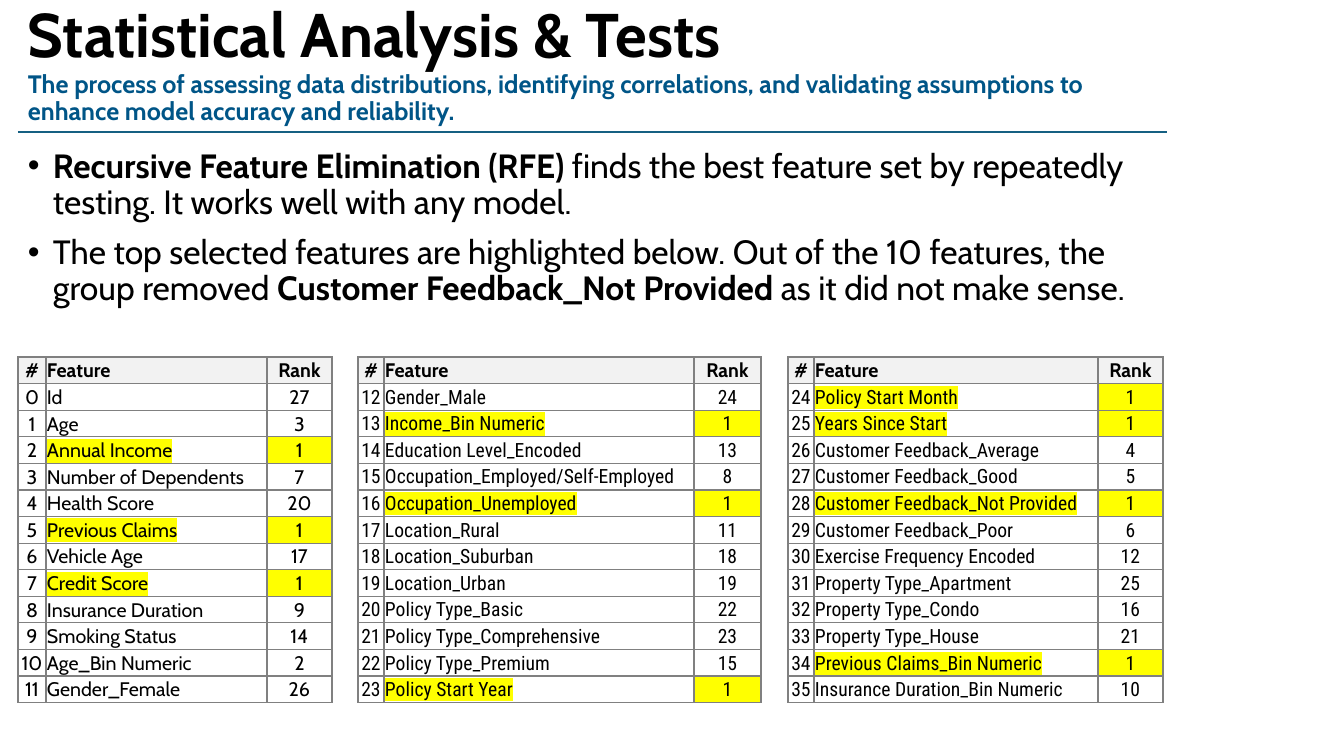
"""Build the slide on statistical tests with three tables of feature ranks."""
from dataclasses import dataclass
from itertools import count

from lxml.etree import SubElement
from pptx import Presentation
from pptx.dml.color import RGBColor
from pptx.enum.shapes import MSO_CONNECTOR
from pptx.enum.text import MSO_ANCHOR, PP_ALIGN
from pptx.oxml.ns import qn
from pptx.util import Pt

TITLE = "Statistical Analysis & Tests"
LEAD = ("The process of assessing data distributions, identifying correlations, "
        "and validating assumptions to enhance model accuracy and reliability.")
POINTS = [
    [("Recursive Feature Elimination (RFE) ", True),
     ("finds the best feature set by repeatedly testing. It works well with any model.", False)],
    [("The top selected features are highlighted below. Out of the 10 features, "
      "the group removed ", False),
     ("Customer Feedback_Not Provided ", True),
     ("as it did not make sense.", False)],
]
HEAD = ("#", "Feature", "Rank")
RANKS = [
    [("Id", 27), ("Age", 3), ("Annual Income", 1), ("Number of Dependents", 7),
     ("Health Score", 20), ("Previous Claims", 1), ("Vehicle Age", 17),
     ("Credit Score", 1), ("Insurance Duration", 9), ("Smoking Status", 14),
     ("Age_Bin Numeric", 2), ("Gender_Female", 26)],
    [("Gender_Male", 24), ("Income_Bin Numeric", 1), ("Education Level_Encoded", 13),
     ("Occupation_Employed/Self-Employed", 8), ("Occupation_Unemployed", 1),
     ("Location_Rural", 11), ("Location_Suburban", 18), ("Location_Urban", 19),
     ("Policy Type_Basic", 22), ("Policy Type_Comprehensive", 23),
     ("Policy Type_Premium", 15), ("Policy Start Year", 1)],
    [("Policy Start Month", 1), ("Years Since Start", 1), ("Customer Feedback_Average", 4),
     ("Customer Feedback_Good", 5), ("Customer Feedback_Not Provided", 1),
     ("Customer Feedback_Poor", 6), ("Exercise Frequency Encoded", 12),
     ("Property Type_Apartment", 25), ("Property Type_Condo", 16),
     ("Property Type_House", 21), ("Previous Claims_Bin Numeric", 1),
     ("Insurance Duration_Bin Numeric", 10)],
]


@dataclass(frozen=True)
class Theme:
    main: str = "Cabin"
    slim: str = "Roboto Condensed"
    ink: str = "000000"
    lead: str = "005587"
    rule: str = "156082"
    grid: str = "808080"
    head: str = "F2F2F2"
    mark: str = "FFFF00"
    title_size: int = 44
    lead_size: int = 18
    body_size: int = 24
    cell_size: int = 14


LOOK = Theme()
LEFT, TOP, HIGH = 18, 357, 346
GRIDS = [(LEFT, (28, 221, 65), LOOK.main),
         (358, (26, 310, 67), LOOK.slim),
         (788, (26, 284, 65), LOOK.slim)]


def px(size):
    return round(size * 914400 / 100.8)


def style(par, size, tint=LOOK.ink, face=LOOK.main, bold=None):
    font = par.font
    font.size, font.name, font.bold = Pt(size), face, bold
    font.color.rgb = RGBColor.from_string(tint)


def add_box(slide, top, wide, high, anchor=MSO_ANCHOR.TOP):
    frame = slide.shapes.add_textbox(px(LEFT), px(top), px(wide), px(high)).text_frame
    frame.word_wrap = True
    frame.vertical_anchor = anchor
    return frame


def add_line(slide):
    line = slide.shapes.add_connector(
        MSO_CONNECTOR.STRAIGHT, px(LEFT), px(132), px(1167), px(132))
    line.line.color.rgb = RGBColor.from_string(LOOK.rule)
    line.line.width = Pt(1.5)
    SubElement(line._element.spPr, qn("a:effectLst"))


def add_points(slide):
    frame = add_box(slide, 144, 1145, 213)
    for num, parts in enumerate(POINTS):
        par = frame.add_paragraph() if num else frame.paragraphs[0]
        props = par._p.get_or_add_pPr()
        props.set("marL", str(px(25)))
        props.set("indent", str(-px(25)))
        SubElement(props, qn("a:buFont"), typeface="Arial")
        SubElement(props, qn("a:buChar"), char="•")
        par.line_spacing = 0.9
        if num:
            par.space_before = Pt(10)
        style(par, LOOK.body_size)
        for text, bold in parts:
            run = par.add_run()
            run.text, run.font.bold = text, bold


def add_color(parent, tag, tint):
    SubElement(SubElement(parent, qn(tag)), qn("a:srgbClr"), val=tint)


def fill_cell(cell, text, face, bold, center, fill, mark):
    cell.margin_left = cell.margin_right = cell.margin_top = px(1)
    cell.margin_bottom = 0
    cell.vertical_anchor = MSO_ANCHOR.MIDDLE
    props = cell._tc.get_or_add_tcPr()
    for side in "LRTB":
        edge = SubElement(props, qn(f"a:ln{side}"), w=str(Pt(1)))
        add_color(edge, "a:solidFill", LOOK.grid)
    if fill:
        cell.fill.solid()
        cell.fill.fore_color.rgb = RGBColor.from_string(fill)
    else:
        cell.fill.background()
    par = cell.text_frame.paragraphs[0]
    par.alignment = PP_ALIGN.CENTER if center else PP_ALIGN.LEFT
    style(par, LOOK.cell_size, face=face, bold=bold)
    run = par.add_run()
    run.text = text
    if mark:
        add_color(run._r.get_or_add_rPr(), "a:highlight", LOOK.mark)


def add_grid(slide, left, wides, face, rows):
    table = slide.shapes.add_table(
        len(rows), len(HEAD), px(left), px(TOP), px(sum(wides)), px(HIGH)).table
    table.first_row = table.horz_banding = False
    for col, wide in zip(table.columns, wides):
        col.width = px(wide)
    for num, row in enumerate(rows):
        table.rows[num].height = px(HIGH / len(rows))
        best = row[2] == 1
        for col, value in enumerate(row):
            name = col == 1
            fill = LOOK.mark if best and col == 2 else None
            fill_cell(table.cell(num, col), str(value), face if num else LOOK.main,
                      num == 0, not name, fill if num else LOOK.head, best and name)


def main():
    deck = Presentation()
    deck.slide_width, deck.slide_height = px(1344), px(756)
    slide = deck.slides.add_slide(deck.slide_layouts[6])
    add_line(slide)
    for text, top, high, size, tint, anchor in [
            (TITLE, 0, 75, LOOK.title_size, LOOK.ink, MSO_ANCHOR.MIDDLE),
            (LEAD, 67, 60, LOOK.lead_size, LOOK.lead, MSO_ANCHOR.TOP)]:
        par = add_box(slide, top, 1171, high, anchor).paragraphs[0]
        par.text, par.line_spacing = text, 0.9
        style(par, size, tint, bold=True)
    index = count()
    for (left, wides, face), ranks in zip(GRIDS, RANKS):
        rows = [HEAD] + [(next(index), *pair) for pair in ranks]
        add_grid(slide, left, wides, face, rows)
    add_points(slide)
    deck.save("out.pptx")


if __name__ == "__main__":
    main()
